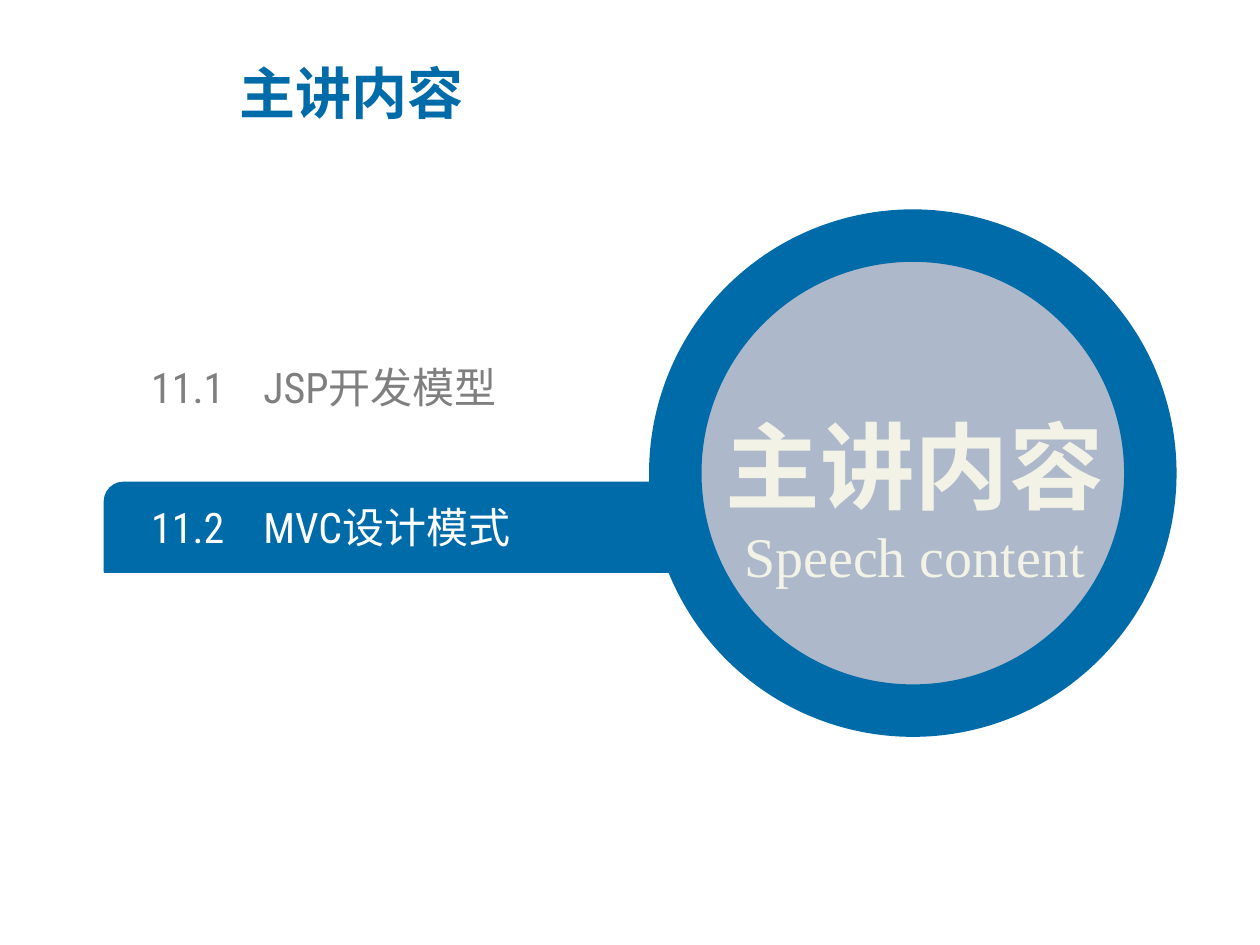
from pptx import Presentation
from pptx.dml.color import RGBColor
from pptx.enum.shapes import MSO_SHAPE
from pptx.enum.text import MSO_ANCHOR, MSO_AUTO_SIZE, PP_ALIGN
from pptx.oxml.ns import qn
from pptx.util import Inches, Pt
from lxml import etree

ROUND_BAR, ELLIPSE = MSO_SHAPE.ROUND_2_DIAG_RECTANGLE, MSO_SHAPE.OVAL
MIDDLE, NO_FIT = MSO_ANCHOR.MIDDLE, MSO_AUTO_SIZE.NONE
LEFT, CENTER = PP_ALIGN.LEFT, PP_ALIGN.CENTER
TWO_CONTENT_LAYOUT = 3

BLUE, GRAY, WHITE = "006BA9", "7F7F7F", "FFFFFF"
PALE_BLUE, CREAM = "ADB9CA", "F2F2E6"
CHINESE, CONDENSED, SERIF = "Noto Sans CJK SC", "Roboto Condensed", "Times New Roman"


def color(value):
    return RGBColor.from_string(value)


class SlideBuilder:
    """Holds the shared style and the current slide."""

    frame_format = {"word_wrap": True, "auto_size": NO_FIT, "vertical_anchor": MIDDLE}

    def __init__(self, slide):
        self.slide = slide

    def place(self, shape, box):
        for name, value in zip(("left", "top", "width", "height"), box):
            setattr(shape, name, Inches(value))

    def format_frame(self, frame, **extra):
        for name, value in {**self.frame_format, **extra}.items():
            setattr(frame, name, value)

    def fill_paragraph(self, paragraph, text, size, font, text_color, bold=False,
                       align=LEFT, line_spacing=1.0, hanging=0):
        paragraph.text = text
        layout = {"alignment": align, "line_spacing": line_spacing,
                  "space_before": Pt(0), "space_after": Pt(0)}
        for name, value in layout.items():
            setattr(paragraph, name, value)
        run_font = paragraph.runs[0].font
        for name, value in {"name": font, "size": Pt(size), "bold": bold}.items():
            setattr(run_font, name, value)
        run_font.color.rgb = color(text_color)
        # East Asian font, hanging indent and no bullet
        run_properties = paragraph.runs[0]._r.get_or_add_rPr()
        etree.SubElement(run_properties, qn("a:ea")).set("typeface", CHINESE)
        properties = paragraph._p.get_or_add_pPr()
        properties.set("marL", str(Inches(hanging)))
        properties.set("indent", str(-Inches(hanging)))
        etree.SubElement(properties, qn("a:buNone"))

    def shape(self, kind, box, fill, line, line_width):
        shape = self.slide.shapes.add_shape(kind, *map(Inches, box))
        shape.shadow.inherit = False
        shape.fill.solid()
        shape.fill.fore_color.rgb = color(fill)
        shape.line.color.rgb = color(line)
        shape.line.width = Pt(line_width)
        return shape

    def placeholder(self, index, box, text, size, font, text_color, margin=None, **extra):
        shape = self.slide.placeholders[index]
        self.place(shape, box)
        margins = {} if margin is None else dict.fromkeys(
            ("margin_left", "margin_top", "margin_right", "margin_bottom"), Inches(margin))
        self.format_frame(shape.text_frame, **margins)
        self.fill_paragraph(shape.text_frame.paragraphs[0], text, size, font,
                            text_color, **extra)
        # Bring the text in front of the shapes drawn so far
        self.slide.shapes._spTree.append(shape._element)

    def text_box(self, box, lines):
        frame = self.slide.shapes.add_textbox(*map(Inches, box)).text_frame
        self.format_frame(frame)
        for number, line in enumerate(lines):
            paragraph = frame.add_paragraph() if number else frame.paragraphs[0]
            self.fill_paragraph(paragraph, align=CENTER, **line)


def main():
    presentation = Presentation()
    presentation.slide_width, presentation.slide_height = Inches(10), Inches(7.5)
    layout = presentation.slide_layouts[TWO_CONTENT_LAYOUT]
    builder = SlideBuilder(presentation.slides.add_slide(layout))

    # Bar behind the current section
    bar = builder.shape(ROUND_BAR, (0.83, 3.83, 5.35, 0.71), BLUE, BLUE, 1)
    bar.adjustments[0], bar.adjustments[1] = 0.21, 0

    # Section list
    sections = [("11.1\tJSP开发模型", GRAY), ("11.2\tMVC设计模式", WHITE)]
    for number, (text, text_color) in enumerate(sections):
        builder.placeholder(number + 1, (1.2, 2.87 + 1.11 * number, 4.19, 0.4), text,
                            24, CONDENSED, text_color, margin=0, hanging=0.89)

    # Ring with the heading
    builder.shape(ELLIPSE, (5.36, 1.87, 3.77, 3.77), PALE_BLUE, BLUE, 30)
    builder.text_box((5.31, 2.73, 3.9, 2), [
        {"text": "主讲内容", "size": 54, "font": CHINESE, "text_color": CREAM,
         "bold": True, "line_spacing": 1.5},
        {"text": "Speech content", "size": 32, "font": SERIF, "text_color": CREAM},
    ])

    # Title
    builder.placeholder(0, (1.8, 0.43, 5.41, 0.61), "主讲内容", 32, CHINESE, BLUE,
                        bold=True, hanging=0.62)

    presentation.save("out.pptx")


if __name__ == "__main__":
    main()
